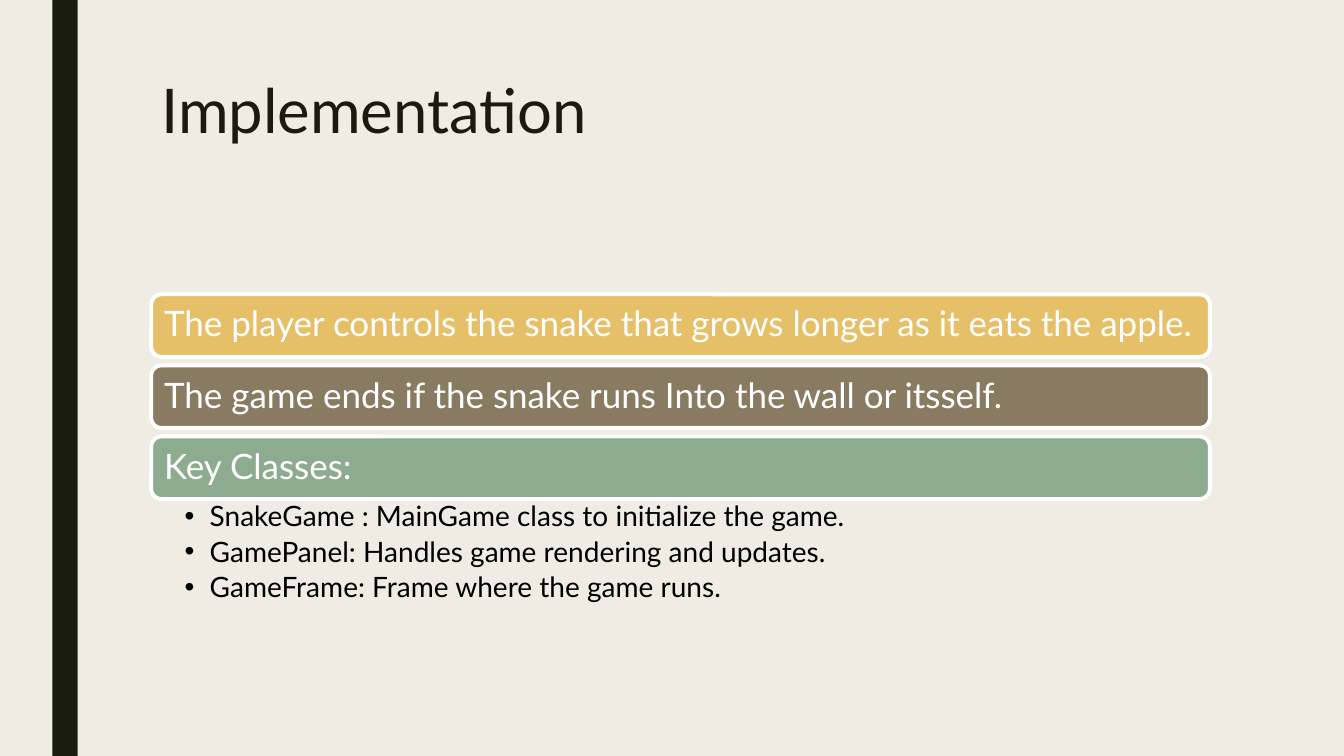
from pptx import Presentation
from pptx.dml.color import RGBColor
from pptx.enum.shapes import MSO_SHAPE as SHAPE
from pptx.enum.text import MSO_ANCHOR as ANCHOR, MSO_AUTO_SIZE as AUTO, PP_ALIGN as ALIGN
from pptx.oxml.ns import qn
from pptx.util import Inches, Pt
from lxml import etree

BACKGROUND = RGBColor(0xEF, 0xED, 0xE3)
DARK = RGBColor(0x19, 0x1B, 0x0E)
WHITE = RGBColor(0xFF, 0xFF, 0xFF)
BLACK = RGBColor(0, 0, 0)
GOLD = RGBColor(0xE6, 0xC0, 0x69)
BROWN = RGBColor(0x89, 0x7B, 0x61)
GREEN = RGBColor(0x8D, 0xAB, 0x8E)
FONT = "Lato"

# Content
TITLE = "Implementation"
BARS = [
    ("The player controls the snake that grows longer as it eats the apple.", GOLD),
    ("The game ends if the snake runs Into the wall or itsself.", BROWN),
    ("Key Classes:", GREEN),
]
CLASSES = [
    "SnakeGame : MainGame class to initialize the game.",
    "GamePanel: Handles game rendering and updates.",
    "GameFrame: Frame where the game runs.",
]

# Layout, in inches
LEFT, WIDTH = 1.5, 10.5
BAR_TOP, BAR_HEIGHT, BAR_STEP = 2.92, 0.62, 0.705


def place(sp, left, top, width, height):
    sp.left, sp.top = Inches(left), Inches(top)
    sp.width, sp.height = Inches(width), Inches(height)


def write(sp, lines, size, color, anchor=ANCHOR.TOP, insets=(0.1, 0.05, 0.1, 0.05),
          spacing=0.9, after=0, bullet=None):
    tf = sp.text_frame
    tf.word_wrap = True
    tf.auto_size = AUTO.NONE
    tf.vertical_anchor = anchor
    tf.margin_left, tf.margin_top, tf.margin_right, tf.margin_bottom = map(Inches, insets)
    for i, line in enumerate(lines):
        p = tf.paragraphs[0] if i == 0 else tf.add_paragraph()
        p.alignment = ALIGN.LEFT
        p.line_spacing = spacing
        p.space_before, p.space_after = Pt(0), Pt(after)
        r = p.add_run()
        r.text = line
        r.font.name, r.font.size, r.font.color.rgb = FONT, Pt(size), color
        if bullet:
            p.level = 1
            pPr = p._p.get_or_add_pPr()
            pPr.set("marL", str(Inches(0.25)))
            pPr.set("indent", str(-Inches(0.25)))
            etree.SubElement(pPr, qn("a:buFont")).set("typeface", "Arial")
            etree.SubElement(pPr, qn("a:buChar")).set("char", bullet)


def add_box(slide, kind, box, fill, line=None):
    sp = slide.shapes.add_shape(kind, *map(Inches, box))
    sp.shadow.inherit = False
    sp.fill.solid()
    sp.fill.fore_color.rgb = fill
    if line is None:
        sp.line.fill.background()
    else:
        sp.line.color.rgb, sp.line.width = line, Pt(2.75)
    return sp


prs = Presentation()
prs.slide_width, prs.slide_height = Inches(13.33), Inches(7.5)
slide = prs.slides.add_slide(prs.slide_layouts[1])
slide.background.fill.solid()
slide.background.fill.fore_color.rgb = BACKGROUND

# Side stripe
add_box(slide, SHAPE.RECTANGLE, (0.52, 0, 0.25, 7.5), DARK)

# Title
title = slide.shapes.title
place(title, LEFT, 0.75, WIDTH, 1.62)
write(title, [TITLE], 44, DARK, spacing=0.89)

# Statement bars
for i, (text, color) in enumerate(BARS):
    box = (LEFT, BAR_TOP + i * BAR_STEP, WIDTH, BAR_HEIGHT)
    bar = add_box(slide, SHAPE.ROUNDED_RECTANGLE, box, color, line=WHITE)
    write(bar, [text], 25, WHITE, anchor=ANCHOR.MIDDLE)

# Class list
body = slide.placeholders[1]
place(body, LEFT, 4.95, WIDTH, 1.05)
write(body, CLASSES, 20, BLACK, insets=(0.33, 0.03, 0.19, 0.03), after=4, bullet="•")

prs.save("out.pptx")
